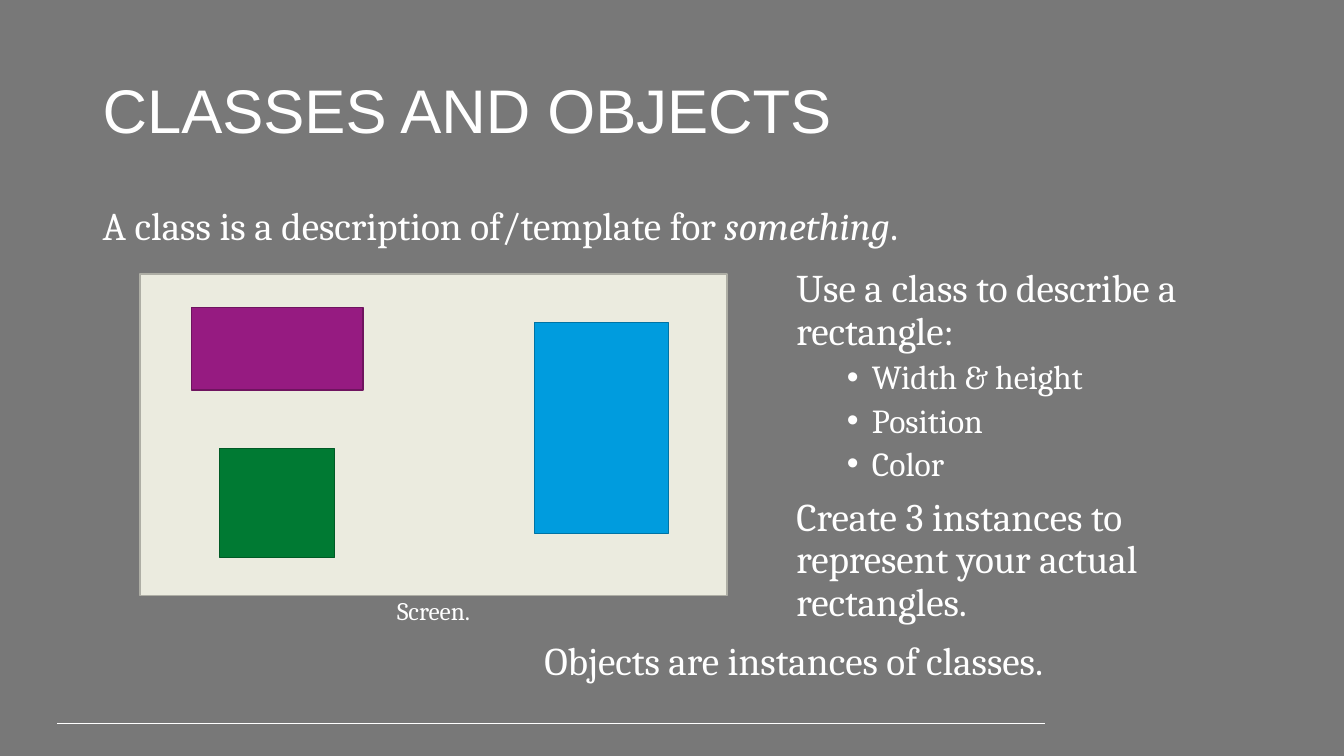
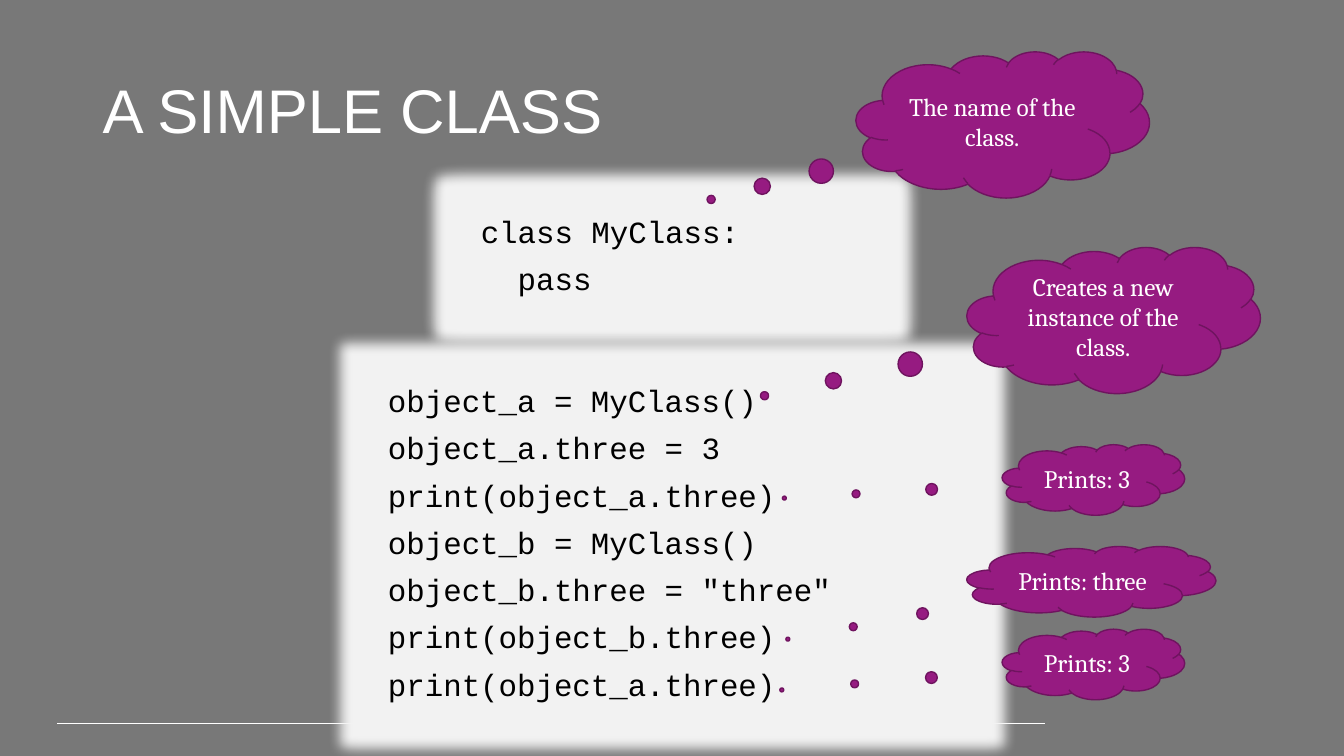
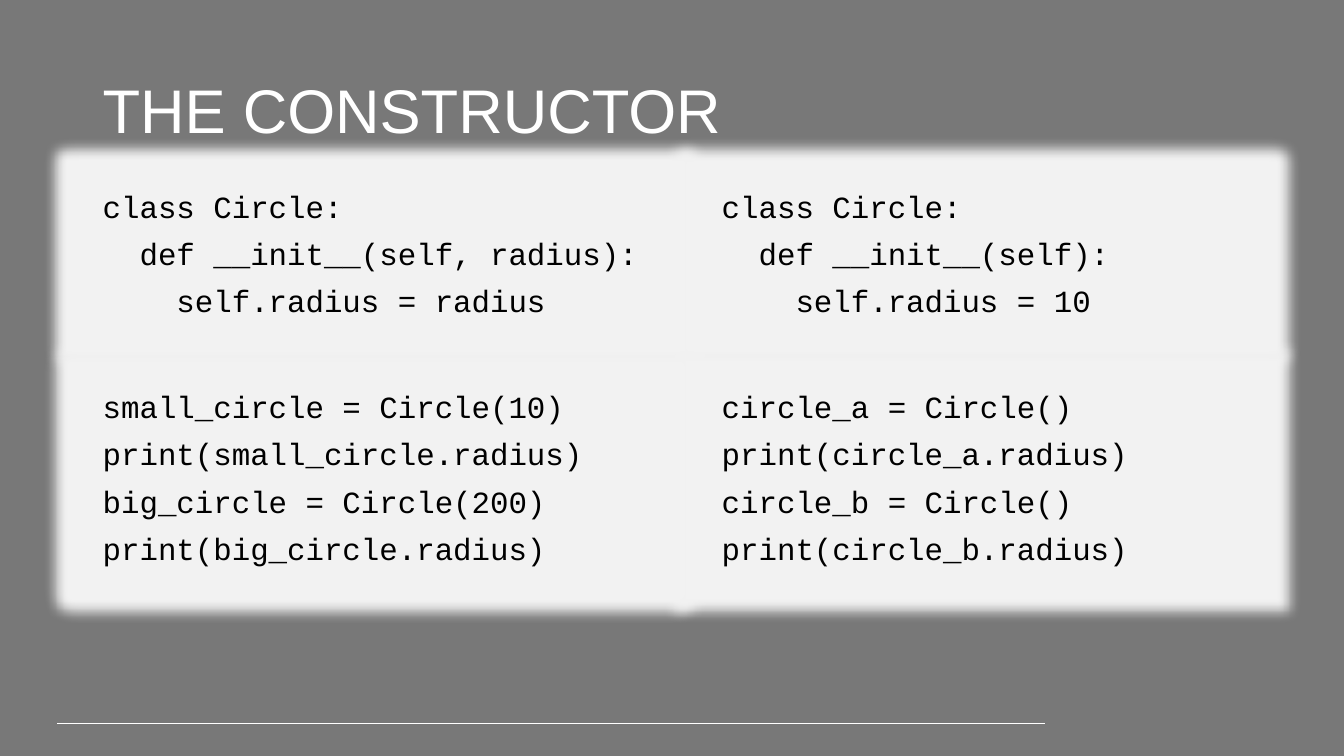
from lxml import etree
from pptx import Presentation
from pptx.dml.color import RGBColor
from pptx.enum.shapes import MSO_CONNECTOR, MSO_SHAPE
from pptx.enum.text import MSO_ANCHOR, MSO_AUTO_SIZE, PP_ALIGN
from pptx.oxml.ns import qn
from pptx.util import Inches, Pt

RECT, CLOUD = MSO_SHAPE.RECTANGLE, MSO_SHAPE.CLOUD_CALLOUT
TOP, MIDDLE = MSO_ANCHOR.TOP, MSO_ANCHOR.MIDDLE
LEFT, CENTER = PP_ALIGN.LEFT, PP_ALIGN.CENTER
GROW, FIXED = MSO_AUTO_SIZE.SHAPE_TO_FIT_TEXT, MSO_AUTO_SIZE.NONE
STRAIGHT = MSO_CONNECTOR.STRAIGHT

GREY, WHITE, BLACK, PANEL = "787878", "FFFFFF", "000000", "F2F2F2"
PURPLE, PURPLE_EDGE = "961B81", "6F145F"
GLOW = 0.25

# Text styles: font values, then paragraph values
BODY = (dict(name="Cambria", size=Pt(28), color=WHITE),
        dict(alignment=LEFT, line_spacing=0.9, space_before=Pt(10)))
BULLET = (BODY[0] | dict(size=Pt(24)), BODY[1] | dict(space_before=Pt(5)))
CAPTION = (BODY[0] | dict(size=Pt(18)), BODY[1] | dict(alignment=CENTER))
CALLOUT = (CAPTION[0], dict(alignment=CENTER))
TITLE = (dict(name="Arial", size=Pt(44), color=WHITE),
         dict(alignment=LEFT, line_spacing=0.9))
CODE = (dict(name="Courier New", size=Pt(22), color=BLACK), BODY[1])


def rgb(value):
    return RGBColor.from_string(value)


def lengths(box):
    return [Inches(v) for v in box]


def add_bullet(p):
    pPr = p._p.get_or_add_pPr()
    pPr.set("marL", str(Inches(0.75)))
    pPr.set("indent", str(Inches(-0.25)))
    etree.SubElement(pPr, qn("a:buFont"), typeface="Arial")
    etree.SubElement(pPr, qn("a:buChar"), char="\u2022")


def write(sp, paragraphs, anchor=TOP, auto_size=GROW):
    """Fill a shape from (runs, style) pairs; every second run is italic."""
    tf = sp.text_frame
    tf.word_wrap, tf.vertical_anchor, tf.auto_size = True, anchor, auto_size
    for i, (runs, style) in enumerate(paragraphs):
        p = tf.add_paragraph() if i else tf.paragraphs[0]
        font_values, paragraph_values = style
        for key, value in paragraph_values.items():
            setattr(p, key, value)
        if style is BULLET:
            p.level = 1
            add_bullet(p)
        for n, text in enumerate(runs):
            r = p.add_run()
            r.text = text
            r.font.italic = n % 2 == 1
            for key, value in font_values.items():
                if key == "color":
                    r.font.color.rgb = rgb(value)
                else:
                    setattr(r.font, key, value)


def text_box(s, box, paragraphs, **options):
    write(s.shapes.add_textbox(*lengths(box)), paragraphs, **options)


def block(s, box, fill, edge=None, kind=RECT):
    sp = s.shapes.add_shape(kind, *lengths(box))
    sp.shadow.inherit = False
    sp.fill.solid()
    sp.fill.fore_color.rgb = rgb(fill)
    if edge:
        sp.line.color.rgb = rgb(edge)
        sp.line.width = Pt(1)
    else:
        sp.line.fill.background()
    return sp


def code_panel(s, box, code):
    sp = block(s, box, PANEL)
    effects = sp._element.spPr.find(qn("a:effectLst"))
    glow = etree.SubElement(effects, qn("a:glow"), rad=str(Inches(GLOW)))
    etree.SubElement(glow, qn("a:srgbClr"), val=PANEL)
    write(sp, [([line], CODE) for line in code.split("\n")])


def callout(s, box, tail, text):
    sp = block(s, box, PURPLE, PURPLE_EDGE, CLOUD)
    for i, value in enumerate(tail):
        sp.adjustments[i] = value
    write(sp, [([text], CALLOUT)], anchor=MIDDLE, auto_size=FIXED)


def new_slide(prs, title):
    s = prs.slides.add_slide(prs.slide_layouts[6])
    # Footer rule
    rule = s.shapes.add_connector(STRAIGHT, *lengths((0.57, 7.18, 10.36, 7.18)))
    rule.line.color.rgb = rgb(WHITE)
    rule.line.width = Pt(0.75)
    etree.SubElement(rule._element.spPr, qn("a:effectLst"))
    # Title
    text_box(s, (0.92, 0.4, 11.5, 1.45), [([title], TITLE)],
             anchor=MIDDLE, auto_size=FIXED)
    return s


def screen(s, box):
    """Draw the screen with its three rectangles and caption."""
    x, y, w, h = box
    block(s, box, "EBEBDF", "AEAEA5")
    for dx, dy, rw, rh, fill, edge in [
            (0.51, 0.33, 1.7, 0.82, PURPLE, PURPLE_EDGE),
            (0.79, 1.73, 1.14, 1.08, "007A33", "005A26"),
            (3.91, 0.48, 1.33, 2.09, "009CDE", "0073A4")]:
        block(s, (x + dx, y + dy, rw, rh), fill, edge)
    text_box(s, (x, y + h - 0.02, w, 0.37), [(["Screen."], CAPTION)])


def classes_slide(prs):
    s = new_slide(prs, "CLASSES AND OBJECTS")
    text_box(s, (0.92, 2, 11.5, 0.53), [
        (["A class is a description of/template for ", "something", "."], BODY)])
    screen(s, (1.39, 2.72, 5.82, 3.19))
    text_box(s, (5.3, 6.32, 7.66, 0.53),
             [(["Objects are instances of classes."], BODY)])
    text_box(s, (7.8, 2.62, 4.42, 3.66), [
        (["Use a class to describe a rectangle:"], BODY),
        (["Width & height"], BULLET),
        (["Position"], BULLET),
        (["Color"], BULLET),
        (["Create 3 instances to represent your actual rectangles."], BODY)])


def simple_class_slide(prs):
    s = new_slide(prs, "A SIMPLE CLASS")
    code_panel(s, (4.67, 2.1, 3.99, 0.92), "class MyClass:\n  pass")
    code_panel(s, (3.75, 3.78, 5.84, 3.28), """object_a = MyClass()
object_a.three = 3
print(object_a.three)
object_b = MyClass()
object_b.three = "three"
print(object_b.three)
print(object_a.three)""")
    for box, tail, text in [
            ((8.49, 0.51, 2.91, 1.45), (-0.994, 0.513), "The name of the class."),
            ((9.59, 2.45, 2.91, 1.45), (-1.19, 0.518),
             "Creates a new instance of the class."),
            ((9.94, 4.41, 1.81, 0.7), (-1.694, 0.26), "Prints: 3"),
            ((9.59, 5.42, 2.47, 0.7), (-1.219, 0.816), "Prints: three"),
            ((9.94, 6.24, 1.81, 0.7), (-1.708, 0.364), "Prints: 3")]:
        callout(s, box, tail, text)


def constructor_slide(prs):
    s = new_slide(prs, "THE CONSTRUCTOR")
    columns = [(0.92, 5.61, """class Circle:
  def __init__(self, radius):
    self.radius = radius""", """small_circle = Circle(10)
print(small_circle.radius)
big_circle = Circle(200)
print(big_circle.radius)"""),
               (7.06, 5.35, """class Circle:
  def __init__(self):
    self.radius = 10""", """circle_a = Circle()
print(circle_a.radius)
circle_b = Circle()
print(circle_b.radius)""")]
    for x, w, definition, usage in columns:
        code_panel(s, (x, 1.85, w, 1.38), definition)
        code_panel(s, (x, 3.84, w, 1.85), usage)


prs = Presentation()
prs.slide_width, prs.slide_height = Inches(13.33), Inches(7.5)
background = prs.slide_master.background.fill
background.solid()
background.fore_color.rgb = rgb(GREY)
classes_slide(prs)
simple_class_slide(prs)
constructor_slide(prs)
prs.save("out.pptx")
